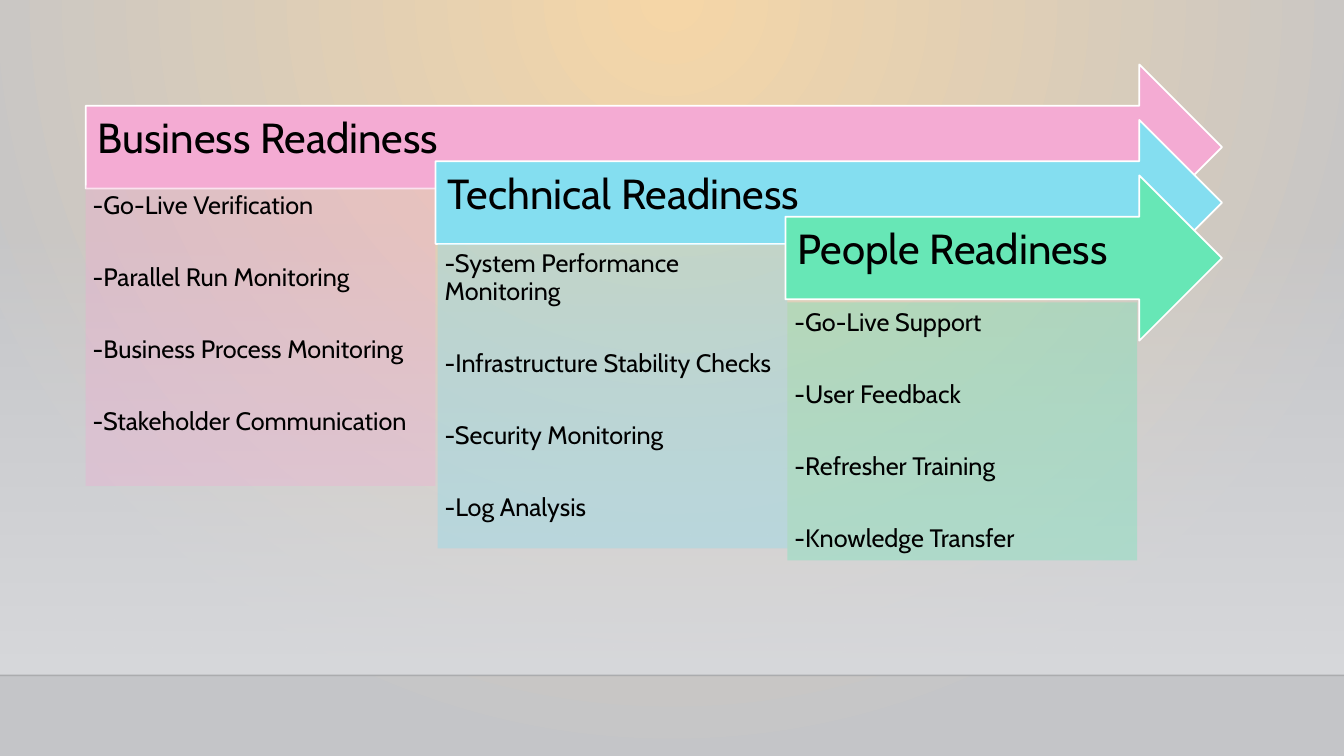
from lxml import etree
from pptx import Presentation
from pptx import util as u
from pptx.dml.color import RGBColor
from pptx.enum import shapes, text
from pptx.oxml import parse_xml
from pptx.oxml.ns import nsdecls, qn

COLORS = {
    "glow": "F5D6A7", "wall": "C4C5C8", "haze": "D8D9DC", "floor_line": "000001",
    "business": "F4ABD3", "technical": "84DEF0", "people": "67E7B6",
    "outline": "FFFFFF", "text": "000000",
}
STREAMS = [
    ("business", "Business Readiness", 0.85, 2.98,
     ["-Go-Live Verification", "-Parallel Run Monitoring",
      "-Business Process Monitoring", "-Stakeholder Communication"]),
    ("technical", "Technical Readiness", 4.34, 3.02,
     ["-System Performance Monitoring", "-Infrastructure Stability Checks",
      "-Security Monitoring", "-Log Analysis"]),
    ("people", "People Readiness", 7.81, 2.56,
     ["-Go-Live Support", "-User Feedback",
      "-Refresher Training", "-Knowledge Transfer"]),
]
COLUMN = 3.47
ARROW_RIGHT = 12.12


class Deck:
    """Draws styled elements on the current slide."""

    font = "Cabin"

    def __init__(self, prs):
        self.s = prs.slides.add_slide(prs.slide_layouts[6])

    def color(self, name):
        return RGBColor.from_string(COLORS[name])

    def alpha(self, parent, percent):
        clr = parent.find(".//" + qn("a:srgbClr"))
        etree.SubElement(clr, qn("a:alpha"), val=str(percent * 1000))

    def gradient(self, parent, stops, direction):
        gs = "".join(
            f'<a:gs pos="{pos * 1000}"><a:srgbClr val="{COLORS[name]}">'
            f'<a:alpha val="{alpha * 1000}"/></a:srgbClr></a:gs>'
            for pos, name, alpha in stops)
        grad = parse_xml(f'<a:gradFill {nsdecls("a")} rotWithShape="1">'
                         f'<a:gsLst>{gs}</a:gsLst>{direction}</a:gradFill>')
        parent.replace(parent.find(qn("a:solidFill")), grad)

    def background(self):
        self.s.background.fill.solid()
        bg = self.s._element.find(".//" + qn("p:bgPr"))
        self.gradient(bg, [(0, "glow", 100), (100, "wall", 100)],
                      '<a:path path="circle"><a:fillToRect l="43000" t="0" '
                      'r="43000" b="100000"/></a:path>')

    def shape(self, kind, box, fill):
        sp = self.s.shapes.add_shape(kind, *map(u.Inches, box))
        sp.shadow.inherit = False
        sp.fill.solid()
        sp.fill.fore_color.rgb = self.color(fill)
        sp.line.fill.background()
        return sp

    def haze(self, box):
        sp = self.shape(shapes.MSO_SHAPE.RECTANGLE, box, "haze")
        self.gradient(sp._element.spPr, [(0, "haze", 0), (100, "haze", 100)],
                      '<a:lin ang="5400000" scaled="0"/>')

    def line(self, x1, y1, x2, y2):
        ln = self.s.shapes.add_connector(
            shapes.MSO_CONNECTOR.STRAIGHT, *map(u.Inches, (x1, y1, x2, y2)))
        ln.line.width = u.Pt(1)
        ln.line.color.rgb = self.color("floor_line")
        self.alpha(ln._element.spPr, 20)
        etree.SubElement(ln._element.spPr, qn("a:effectLst"))

    def label(self, sp, lines, size, anchor, insets, gap=0):
        tf = sp.text_frame
        tf.word_wrap = True
        tf.vertical_anchor = anchor
        (tf.margin_left, tf.margin_top,
         tf.margin_right, tf.margin_bottom) = map(u.Inches, insets)
        for i, words in enumerate(lines):
            p = tf.add_paragraph() if i else tf.paragraphs[0]
            p.text = words
            p.alignment = text.PP_ALIGN.LEFT
            p.line_spacing = 0.9
            p.space_after = u.Pt(gap if i < len(lines) - 1 else 0)
            p.font.name = self.font
            p.font.size = u.Pt(size)
            p.font.color.rgb = self.color("text")

    def arrow(self, box, fill, title):
        sp = self.shape(shapes.MSO_SHAPE.RIGHT_ARROW, box, fill)
        sp.line.color.rgb = self.color("outline")
        sp.line.width = u.Pt(1.25)
        self.label(sp, [title], 30, text.MSO_ANCHOR.MIDDLE, (0.12, 0.12, 0.28, 0.26))

    def panel(self, box, fill, items):
        sp = self.shape(shapes.MSO_SHAPE.RECTANGLE, box, fill)
        self.alpha(sp._element.spPr, 34)
        self.label(sp, items, 18, text.MSO_ANCHOR.TOP, (0.07,) * 4, gap=32)


def main():
    prs = Presentation()
    prs.slide_width, prs.slide_height = u.Inches(13.33), u.Inches(7.5)
    deck = Deck(prs)
    deck.background()
    deck.haze((0, 2.21, 13.33, 4.49))
    deck.line(0, 6.7, 13.33, 6.7)
    for i, (fill, title, panel_left, height, items) in enumerate(STREAMS):
        left = 0.85 + COLUMN * i
        deck.arrow((left, 0.64 + 0.55 * i, ARROW_RIGHT - left, 1.64), fill, title)
        deck.panel((panel_left, 1.84 + 0.58 * i, COLUMN, height), fill, items)
    prs.save("out.pptx")


if __name__ == "__main__":
    main()
